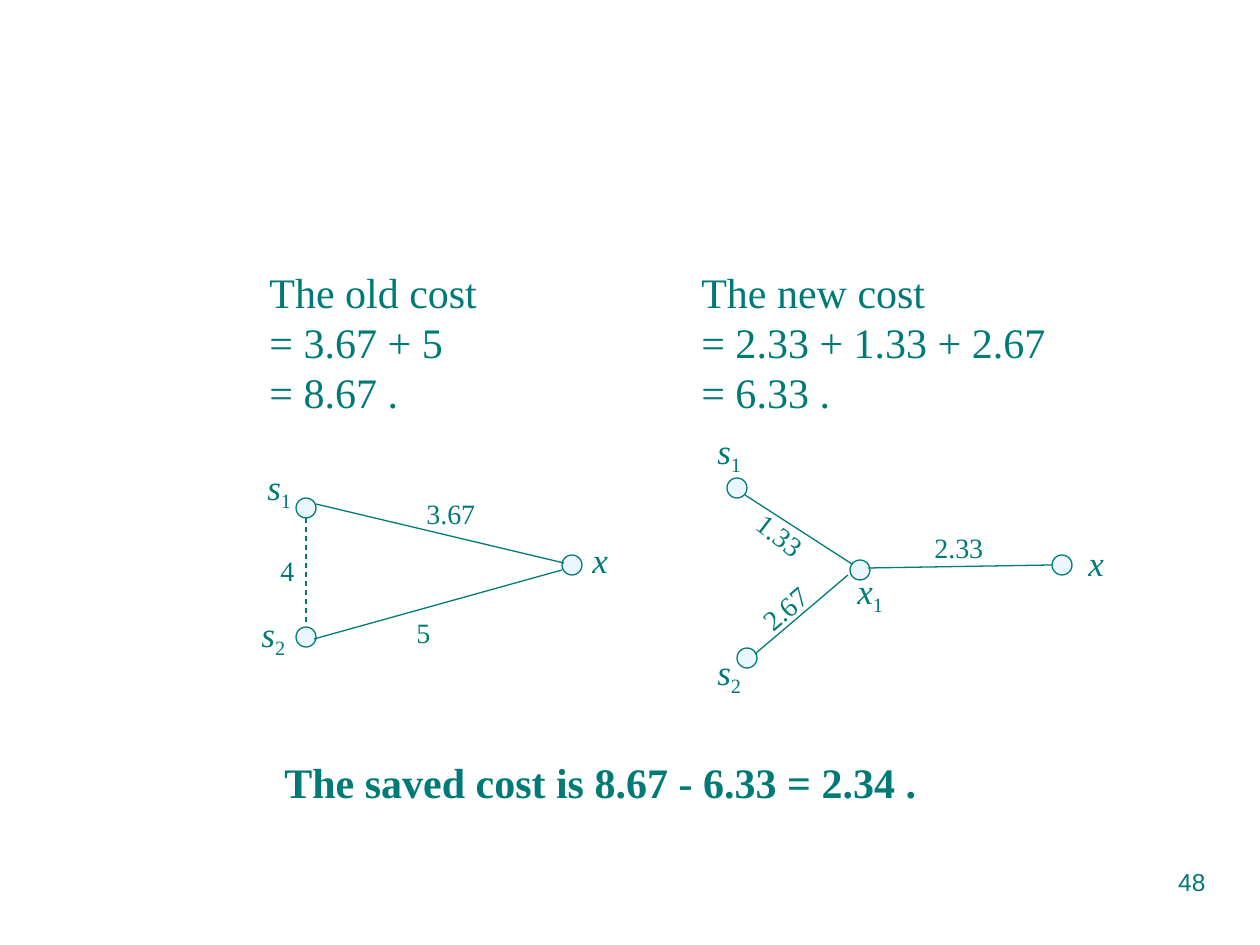
from dataclasses import dataclass

from lxml.etree import SubElement
from pptx import Presentation
from pptx.dml.color import RGBColor
from pptx.enum.dml import MSO_LINE
from pptx.enum.shapes import MSO_CONNECTOR, MSO_SHAPE
from pptx.enum.text import MSO_AUTO_SIZE, PP_ALIGN
from pptx.oxml.ns import qn
from pptx.util import Pt

SCALE = 914400 / 126


@dataclass(frozen=True)
class Theme:
    ink: RGBColor = RGBColor(0x00, 0x7A, 0x77)
    pale: RGBColor = RGBColor(0xEB, 0xF7, 0xFF)
    serif: str = "Times New Roman"
    sans: str = "Arial"
    large: int = 24
    name: int = 20
    cost: int = 16
    page: int = 14
    line: float = 0.75


THEME = Theme()
LARGE = {"name": THEME.serif, "size": Pt(THEME.large)}
BOLD = {**LARGE, "bold": True}
NAME = {"name": THEME.serif, "size": Pt(THEME.name), "italic": True}
INDEX = {**NAME, "italic": False}
COST = {"name": THEME.serif, "size": Pt(THEME.cost)}
PAGE = {"name": THEME.sans, "size": Pt(THEME.page)}


def px(*values):
    return [round(value * SCALE) for value in values]


def style(font, form):
    for key, value in form.items():
        setattr(font, key, value)
    font.color.rgb = THEME.ink


def write(para, text, form):
    run = para.add_run()
    run.text = text
    style(run.font, form)
    return run


def add_text(slide, box, lines, form, align=PP_ALIGN.LEFT):
    shape = slide.shapes.add_textbox(*px(*box))
    frame = shape.text_frame
    frame.word_wrap = True
    for pos, text in enumerate(lines):
        para = frame.add_paragraph() if pos else frame.paragraphs[0]
        para.alignment = align
        write(para, text, form)
    return shape


def add_label(slide, box, text, form):
    shape = add_text(slide, box, [text], form)
    shape.text_frame.word_wrap = False
    shape.text_frame.auto_size = MSO_AUTO_SIZE.SHAPE_TO_FIT_TEXT
    return shape


def add_cost(slide, left, top, text, turn=0):
    width = 74 if len(text) > 1 else 39
    shape = add_label(slide, (left, top, width, 47), text, COST)
    shape.rotation = turn


def add_name(slide, left, top, text, index=""):
    box = (left, top, 52 if index else 41, 60 if index else 55)
    shape = add_label(slide, box, text, NAME)
    if index:
        run = write(shape.text_frame.paragraphs[0], index, INDEX)
        run.font._element.set("baseline", "-25000")


def add_node(slide, left, top):
    node = slide.shapes.add_shape(MSO_SHAPE.OVAL, *px(left, top, 20, 20))
    node.shadow.inherit = False
    node.fill.solid()
    node.fill.fore_color.rgb = THEME.pale
    node.line.color.rgb = THEME.ink
    node.line.width = Pt(THEME.line)


def add_edge(slide, ends, dash=None):
    edge = slide.shapes.add_connector(MSO_CONNECTOR.STRAIGHT, *px(*ends))
    edge.line.color.rgb = THEME.ink
    edge.line.width = Pt(THEME.line)
    edge.line.dash_style = dash
    SubElement(edge._element.spPr, qn("a:effectLst"))


def add_graph(slide, nodes, edges, names, costs):
    for node in nodes:
        add_node(slide, *node)
    for edge in edges:
        add_edge(slide, *edge)
    for name in names:
        add_name(slide, *name)
    for cost in costs:
        add_cost(slide, *cost)


def main():
    deck = Presentation()
    deck.slide_width, deck.slide_height = px(1260, 945)
    slide = deck.slides.add_slide(deck.slide_layouts[6])

    add_text(slide, (257, 260, 243, 164),
             ["The old cost", "= 3.67 + 5", "= 8.67 ."], LARGE)
    add_text(slide, (689, 260, 517, 164),
             ["The new cost", "= 2.33 + 1.33 + 2.67", "= 6.33 ."], LARGE)

    add_graph(
        slide,
        nodes=[(296, 498), (296, 627), (562, 555)],
        edges=[((316, 504, 564, 563),), ((314, 639, 562, 570),),
               ((306, 518, 306, 626), MSO_LINE.DASH)],
        names=[(255, 459, "s", "1"), (249, 606, "s", "2"), (580, 532, "x")],
        costs=[(414, 490, "3.67"), (404, 609, "5"), (268, 547, "4")],
    )
    add_graph(
        slide,
        nodes=[(727, 478), (737, 648), (850, 560), (1052, 555)],
        edges=[((745, 495, 852, 564),), ((755, 654, 848, 575),),
               ((868, 568, 1052, 565),)],
        names=[(705, 423, "s", "1"), (705, 644, "s", "2"),
               (845, 563, "x", "1"), (1076, 535, "x")],
        costs=[(743, 512, "1.33", 37.5), (748, 585, "2.67", 319.4),
               (922, 524, "2.33")],
    )

    add_text(slide, (272, 750, 873, 63),
             ["The saved cost is 8.67 - 6.33 = 2.34 ."], BOLD)
    add_text(slide, (903, 861, 315, 66), ["48"], PAGE, PP_ALIGN.RIGHT)
    deck.save("out.pptx")


if __name__ == "__main__":
    main()
